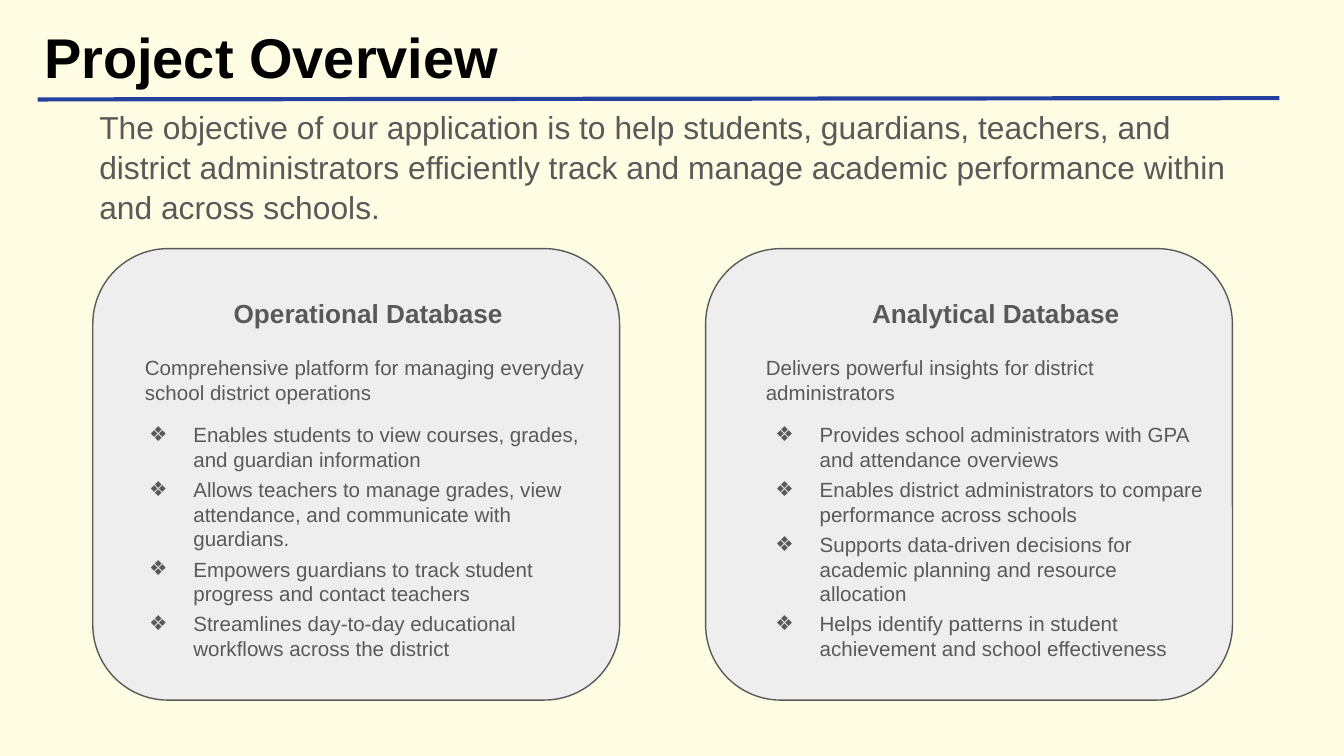
from dataclasses import dataclass

from lxml import etree
from pptx import Presentation
from pptx import util as u
from pptx.dml.color import RGBColor
from pptx.enum import shapes, text
from pptx.oxml.ns import qn

CREAM = RGBColor(0xFF, 0xFC, 0xE4)
BLACK = RGBColor(0x00, 0x00, 0x00)
GREY = RGBColor(0x59, 0x59, 0x59)
PALE = RGBColor(0xEE, 0xEE, 0xEE)
BLUE = RGBColor(0x24, 0x41, 0x9E)
FONT = "Arial"


@dataclass(frozen=True)
class Card:
    """A database panel and the left edges of its parts."""

    left: float
    heading_left: float
    summary_left: float
    list_left: float
    heading: str
    summary: str
    points: tuple[str, ...]


CARDS = (
    Card(0.69, 1.64, 0.98, 0.84, "Operational Database",
         "Comprehensive platform for managing everyday school district operations",
         ("Enables students to view courses, grades, and guardian information",
          "Allows teachers to manage grades, view attendance, and communicate with guardians.",
          "Empowers guardians to track student progress and contact teachers",
          "Streamlines day-to-day educational workflows across the district")),
    Card(5.25, 6.39, 5.6, 5.5, "Analytical Database",
         "Delivers powerful insights for district administrators",
         ("Provides school administrators with GPA and attendance overviews",
          "Enables district administrators to compare performance across schools",
          "Supports data-driven decisions for academic planning and resource allocation",
          "Helps identify patterns in student achievement and school effectiveness")),
)


def add_bullet(para, size: float) -> None:
    """Give a paragraph a hanging diamond bullet."""
    props = para._p.get_or_add_pPr()
    props.set("marL", str(u.Inches(0.5)))
    props.set("indent", str(u.Inches(-0.33)))
    color = etree.SubElement(props, qn("a:buClr"))
    etree.SubElement(color, qn("a:srgbClr"), val=str(GREY))
    etree.SubElement(props, qn("a:buSzPts"), val=str(u.Pt(size).centipoints))
    etree.SubElement(props, qn("a:buFont"), typeface=FONT)
    etree.SubElement(props, qn("a:buChar"), char="❖")


def add_text(page, lines: tuple[str, ...], left: float, top: float, width: float,
             height: float, *, size: float = 11, color: RGBColor = GREY,
             bold: bool = False, bullets: bool = False, bottom: float = 0.1,
             line_spacing: float = 1.0, gap: float = 0, after: float = 0) -> None:
    """Add a wrapped text box with one paragraph per line."""
    box = page.shapes.add_textbox(*map(u.Inches, (left, top, width, height)))
    frame = box.text_frame
    frame.word_wrap = True
    frame.vertical_anchor = text.MSO_ANCHOR.TOP
    frame.margin_left = frame.margin_right = frame.margin_top = u.Inches(0.1)
    frame.margin_bottom = u.Inches(bottom)
    for index, line in enumerate(lines):
        para = frame.paragraphs[0] if index == 0 else frame.add_paragraph()
        if bullets:
            add_bullet(para, size)
        para.line_spacing = line_spacing
        para.space_before = u.Pt(gap if index else 0)
        para.space_after = u.Pt(after if index == len(lines) - 1 else 0)
        span = para.add_run()
        span.text = line
        span.font.name = FONT
        span.font.size = u.Pt(size)
        span.font.bold = bold
        span.font.color.rgb = color


def add_card(page, card: Card) -> None:
    """Draw a rounded panel with its heading, summary and points."""
    panel = page.shapes.add_shape(
        shapes.MSO_SHAPE.ROUNDED_RECTANGLE,
        *map(u.Inches, (card.left, 1.85, 3.92, 3.36)))
    panel.adjustments[0] = 0.167
    panel.shadow.inherit = False
    panel.fill.solid()
    panel.fill.fore_color.rgb = PALE
    panel.line.color.rgb = GREY
    panel.line.width = u.Pt(0.75)
    add_text(page, (card.heading,), card.heading_left, 2.11, 2.5, 0.38,
             size=14, bold=True)
    add_text(page, (card.summary,), card.summary_left, 2.54, 3.56, 0.55)
    add_text(page, card.points, card.list_left, 3.04, 3.59, 2.2,
             bullets=True, bottom=0.3, gap=3, after=3)


def add_rule(page) -> None:
    """Draw the blue line under the title."""
    rule = page.shapes.add_connector(
        shapes.MSO_CONNECTOR.STRAIGHT,
        *map(u.Inches, (0.28, 0.74, 9.52, 0.73)))
    rule.line.color.rgb = BLUE
    rule.line.width = u.Pt(2.25)
    etree.SubElement(rule._element.spPr, qn("a:effectLst"))


def main() -> None:
    """Build the project overview slide."""
    deck = Presentation()
    deck.slide_width = u.Inches(10)
    deck.slide_height = deck.slide_width * 9 // 16
    page = deck.slides.add_slide(deck.slide_layouts[6])
    page.background.fill.solid()
    page.background.fill.fore_color.rgb = CREAM
    add_text(page, ("Project Overview",), 0.23, 0.07, 4.67, 0.63,
             size=30, color=BLACK, bold=True)
    add_text(page, ("The objective of our application is to help students, guardians, "
                    "teachers, and district administrators efficiently track and manage "
                    "academic performance within and across schools.",),
             0.64, 0.69, 8.92, 1.09, size=17, line_spacing=1.05, after=12)
    for card in CARDS:
        add_card(page, card)
    add_rule(page)
    deck.save("out.pptx")


if __name__ == "__main__":
    main()
